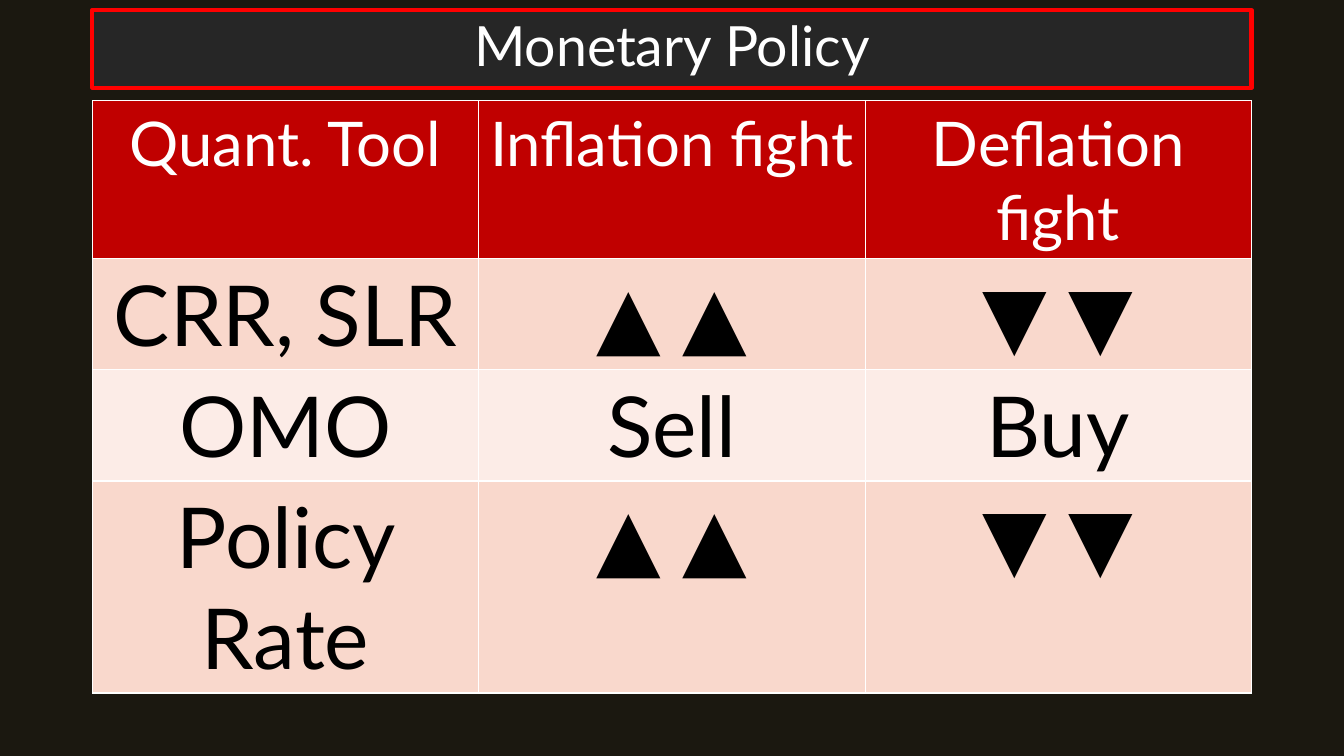
from lxml.etree import SubElement
from pptx import Presentation
from pptx.dml.color import RGBColor
from pptx.enum.shapes import MSO_SHAPE
from pptx.enum.text import MSO_ANCHOR, PP_ALIGN
from pptx.oxml.ns import qn
from pptx.util import Pt

TITLE = "Monetary Policy"
ROWS = [
    ("Quant. Tool", "Inflation fight", "Deflation fight"),
    ("CRR, SLR", "▲ ▲", "▼ ▼"),
    ("OMO", "Sell", "Buy"),
    ("Policy Rate", "▲ ▲", "▼ ▼"),
]
HEIGHTS = [112.8, 79.2, 79.2, 151.2]
BANDS = ["FCECE7", "F9D8CC"]
LEFT, WIDTH = 66, 828


def color(code):
    return RGBColor.from_string(code)


def style(para, size, code):
    para.alignment = PP_ALIGN.CENTER
    for run in para.runs:
        run.font.name = "Lato"
        run.font.size = Pt(size)
        run.font.bold = False
        run.font.color.rgb = color(code)


def border(cell, code, width):
    props = cell._tc.get_or_add_tcPr()
    for spot, side in enumerate(("lnL", "lnR", "lnT", "lnB")):
        line = SubElement(props, qn("a:" + side), w=str(Pt(width)))
        fill = SubElement(line, qn("a:solidFill"))
        SubElement(fill, qn("a:srgbClr"), val=code)
        props.insert(spot, line)


deck = Presentation()
deck.slide_width, deck.slide_height = Pt(960), Pt(540)
slide = deck.slides.add_slide(deck.slide_layouts[6])
slide.background.fill.solid()
slide.background.fill.fore_color.rgb = color("1B1810")

grid = slide.shapes.add_table(
    len(ROWS), len(ROWS[0]), Pt(LEFT), Pt(72), Pt(WIDTH), Pt(sum(HEIGHTS))
).table
for col in grid.columns:
    col.width = Pt(WIDTH / len(ROWS[0]))
for r, texts in enumerate(ROWS):
    grid.rows[r].height = Pt(HEIGHTS[r])
    for c, text in enumerate(texts):
        cell = grid.cell(r, c)
        cell.text_frame.text = text
        cell.fill.solid()
        cell.fill.fore_color.rgb = color(BANDS[r % 2] if r else "C00000")
        size, ink = (60, "000000") if r else (44, "FFFFFF")
        style(cell.text_frame.paragraphs[0], size, ink)
        border(cell, "FFFFFF", 1)

title = slide.shapes.add_shape(
    MSO_SHAPE.ROUNDED_RECTANGLE, Pt(LEFT), Pt(7.2), Pt(WIDTH), Pt(55.5)
)
title.adjustments[0] = 0
title.shadow.inherit = False
title.fill.solid()
title.fill.fore_color.rgb = color("262626")
title.line.color.rgb = color("FF0000")
title.line.width = Pt(3)
frame = title.text_frame
frame.word_wrap = True
frame.vertical_anchor = MSO_ANCHOR.MIDDLE
frame.text = TITLE
frame.paragraphs[0].line_spacing = 0.9
style(frame.paragraphs[0], 39.6, "FFFFFF")

deck.save("out.pptx")
